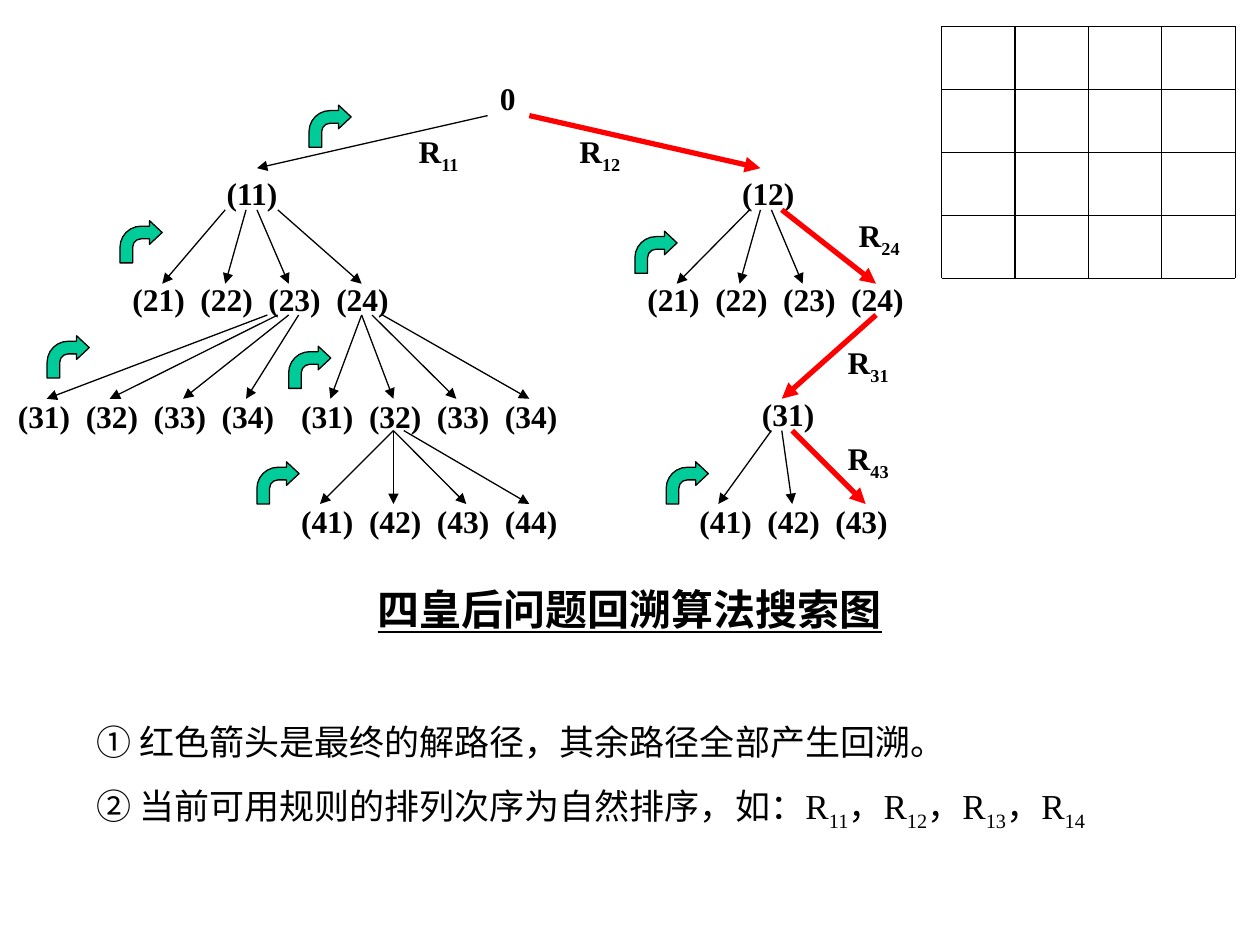
from lxml.etree import SubElement
from pptx import Presentation
from pptx.dml.color import RGBColor
from pptx.enum.shapes import MSO_CONNECTOR, MSO_SHAPE
from pptx.enum.text import PP_ALIGN
from pptx.oxml.ns import qn
from pptx.util import Cm, Pt

COLORS = {"ink": "000000", "solution": "FF0000", "turn": "00CC99"}
FONT = "Times New Roman"


def write(paragraph, text, size=18, bold=True, underline=False,
          align=None, before=0, tab_step=None):
    """Fill a paragraph; every second part between | marks is a subscript."""
    paragraph.alignment = align
    paragraph.space_before = Pt(before)
    if tab_step:
        tab_list = SubElement(paragraph._p.get_or_add_pPr(), qn("a:tabLst"))
        for stop in range(1, text.count("\t") + 1):
            SubElement(tab_list, qn("a:tab"), pos=str(Cm(stop * tab_step)), algn="l")
    for index, part in enumerate(text.split("|")):
        if not part:
            continue
        run = paragraph.add_run()
        run.text = part
        run.font.name = FONT
        run.font.size = Pt(size)
        run.font.bold = bold
        run.font.underline = underline
        run.font.color.rgb = RGBColor.from_string(COLORS["ink"])
        if index % 2:
            run._r.get_or_add_rPr().set("baseline", "-25000")


class SearchTreeSlide:
    """Holds the slide and the style of the search tree."""

    NODE_STEP = 1.37
    TURN_SIZE = 0.85
    TURN_ADJUSTMENTS = (0.3, 0.28, 0.3, 0.5)

    def __init__(self, deck):
        self.slide = deck.slides.add_slide(deck.slide_layouts[6])

    def text_box(self, x, y, width, height):
        box = self.slide.shapes.add_textbox(Cm(x), Cm(y), Cm(width), Cm(height))
        box.text_frame.word_wrap = True
        return box.text_frame

    def nodes(self, x, y, width, *labels):
        frame = self.text_box(x, y, width, 1.01)
        write(frame.paragraphs[0], "\t".join(labels), before=11.2,
              tab_step=self.NODE_STEP)

    def rule(self, x, y, number):
        frame = self.text_box(x, y, 1.45, 1.11)
        write(frame.paragraphs[0], f"R|{number}")

    def line(self, x1, y1, x2, y2, color="ink", weight=0.75, arrow=False):
        line = self.slide.shapes.add_connector(
            MSO_CONNECTOR.STRAIGHT, Cm(x1), Cm(y1), Cm(x2), Cm(y2))
        line.line.color.rgb = RGBColor.from_string(COLORS[color])
        line.line.width = Pt(weight)
        if arrow:
            SubElement(line.line._get_or_add_ln(), qn("a:tailEnd"), type="triangle")
        SubElement(line._element.spPr, qn("a:effectLst"))

    def branch(self, x1, y1, x2, y2, solution=False):
        color, weight = ("solution", 3) if solution else ("ink", 0.75)
        self.line(x1, y1, x2, y2, color, weight, arrow=True)

    def turn(self, x, y):
        turn = self.slide.shapes.add_shape(
            MSO_SHAPE.BENT_ARROW, Cm(x), Cm(y), Cm(self.TURN_SIZE), Cm(self.TURN_SIZE))
        for index, value in enumerate(self.TURN_ADJUSTMENTS):
            turn.adjustments[index] = value
        turn.shadow.inherit = False
        turn.fill.solid()
        turn.fill.fore_color.rgb = RGBColor.from_string(COLORS["turn"])
        turn.line.color.rgb = RGBColor.from_string(COLORS["ink"])
        turn.line.width = Pt(0.75)

    def board(self, x, y, cell_width, cell_height, count):
        right, bottom = x + count * cell_width, y + count * cell_height
        for step in range(count + 1):
            column, row = x + step * cell_width, y + step * cell_height
            self.line(column, y, column, bottom)
            self.line(x, row, right, row)


def main():
    deck = Presentation()
    deck.slide_width, deck.slide_height = Cm(25.4), Cm(19.05)
    tree = SearchTreeSlide(deck)

    # Tree nodes
    single, wide = 2.12, 6.35
    second, third, fourth = (
        [f"({row}{column})" for column in range(1, 5)] for row in (2, 3, 4))
    tree.nodes(9.83, 1.47, 0.84, "0")
    tree.nodes(4.32, 3.39, single, "(11)")
    tree.nodes(14.71, 3.39, single, "(12)")
    for x in (2.42, 12.8):
        tree.nodes(x, 5.53, wide, *second)
    for x in (0.11, 5.82):
        tree.nodes(x, 7.87, wide, *third)
    tree.nodes(15.11, 7.83, single, third[0])
    tree.nodes(5.82, 9.99, wide, *fourth)
    tree.nodes(13.85, 9.99, wide, *fourth[:3])

    # Branches by level: start y, end y, (start x, end x), solution ends in red
    levels = [
        (2.33, 3.39, [(9.83, 5.18)], [(10.67, 15.33)]),
        (4.23, 5.72, [(4.54, 3.27), (4.96, 4.54), (5.18, 5.82), (5.6, 7.29),
                      (15.11, 13.64), (15.33, 14.91), (15.55, 16.18)],
         [(15.76, 17.66)]),
        (6.35, 8.04, [(5.39, 0.94), (5.6, 2.21), (5.82, 3.69), (6.02, 4.96),
                      (7.29, 6.66), (7.29, 7.93), (7.5, 9.2), (7.71, 10.67)],
         [(17.66, 15.76)]),
        (8.68, 10.16, [(7.93, 6.45), (7.93, 7.93), (7.93, 9.4), (8.14, 10.67),
                       (15.55, 14.48), (15.76, 15.97)],
         [(15.97, 17.45)]),
    ]
    for top, bottom, failed, solved in levels:
        for start, end in failed:
            tree.branch(start, top, end, bottom)
        for start, end in solved:
            tree.branch(start, top, end, bottom, solution=True)

    # Title and remarks
    remarks = tree.text_box(1.69, 11.64, 22.01, 6.67)
    write(remarks.paragraphs[0], "四皇后问题回溯算法搜索图", size=24,
          underline=True, align=PP_ALIGN.CENTER, before=15)
    for text, before in (
            ("① 红色箭头是最终的解路径，其余路径全部产生回溯。", 49.5),
            ("② 当前可用规则的排列次序为自然排序，如：R|11|，R|12|，R|13|，R|14", 12.5)):
        write(remarks.add_paragraph(), text, size=20, bold=False, before=before)

    # Backtracking turns
    for x, y in ((2.42, 4.45), (0.95, 6.77), (12.8, 4.66), (5.18, 9.31),
                 (13.43, 9.31), (6.23, 2.12), (5.82, 6.98)):
        tree.turn(x, y)

    # Rule labels
    for x, y, number in ((8.19, 2.54, 11), (11.43, 2.54, 12), (17.06, 4.24, 24),
                         (16.84, 6.8, 31), (16.84, 8.72, 43)):
        tree.rule(x, y, number)

    # Empty board
    tree.board(18.98, 0.53, 1.48, 1.27, 4)

    deck.save("out.pptx")


if __name__ == "__main__":
    main()
